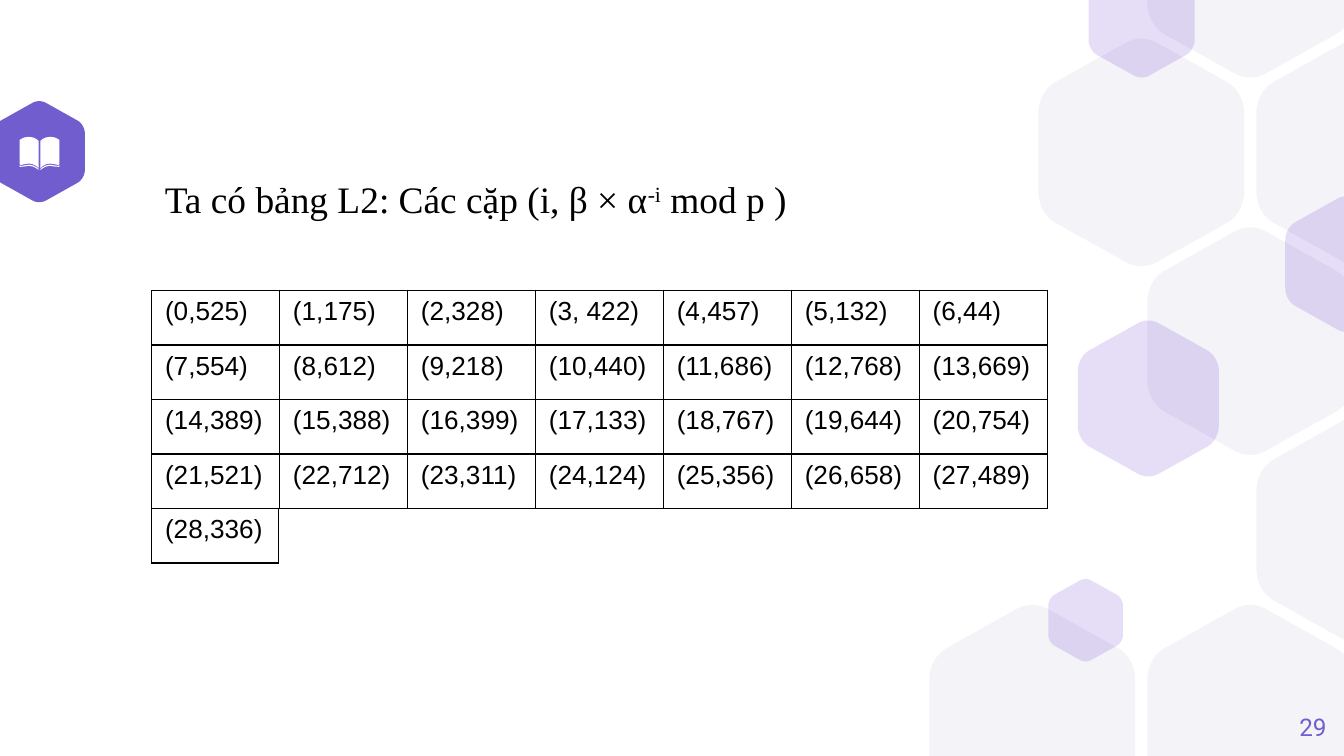
from typing import NamedTuple

from lxml import etree
from pptx import Presentation
from pptx import util as u
from pptx.dml.color import RGBColor
from pptx.enum import text as t
from pptx.oxml import ns

Pt = u.Pt
WIDTH, HEIGHT = 720, 405
PURPLE, ACCENT, PALE, WHITE, BLACK = "725DCF", "5322C9", "F4F3F8", "FFFFFF", "000000"

Point = tuple[float, float]


class Hexagon(NamedTuple):
    cx: float
    cy: float
    width: float
    color: str
    alpha: int = 100


class Grid(NamedTuple):
    left: float
    top: float
    col_width: float
    rows: list[list[str]]


# Honeycomb cells by column and row, then the accents
HEX_WIDTH, COL_STEP, ROW_STEP = 110.3, 58.4, 101.1
HONEYCOMB = [(0, 3), (2, 3), (3, 0), (2, -1), (2, 1), (1, 0), (3, 2)]
HEXAGONS = [Hexagon(21, 81.3, 49, PURPLE)]
HEXAGONS += [Hexagon(553 + COL_STEP * col, 81.7 + ROW_STEP * row, HEX_WIDTH, PALE)
             for col, row in HONEYCOMB]
HEXAGONS += [Hexagon(cx, cy, width, ACCENT, 15) for cx, cy, width in [
    (721.4, 141.5, 65.8), (581.6, 332.3, 40), (611.6, 10.1, 56.9), (615.2, 213.5, 75.6)]]

# Right half of the book: distance from the spine, height on the slide
SPINE = 21.2
BOOK_PARTS = [
    [(0.5, 75.5), (1.5, 74.6), (3.2, 73.7), (5.5, 73.3), (8, 73.6), (10, 74.5), (10.6, 75),
     (10.6, 88), (10, 88.4), (8, 88), (5.5, 87.6), (3.5, 88), (1.8, 88.9), (0.5, 90)],
    [(10.6, 88.4), (10.2, 88.9), (8, 88.6), (5.5, 88.2), (3.2, 88.7), (1.6, 89.6), (0.5, 90.5),
     (0.5, 91), (1.8, 90.1), (3.3, 89.3), (5.5, 88.8), (8, 89.2), (10.6, 89.4)],
]

PAIRS = [
    ["(0,525)", "(1,175)", "(2,328)", "(3, 422)", "(4,457)", "(5,132)", "(6,44)"],
    ["(7,554)", "(8,612)", "(9,218)", "(10,440)", "(11,686)", "(12,768)", "(13,669)"],
    ["(14,389)", "(15,388)", "(16,399)", "(17,133)", "(18,767)", "(19,644)", "(20,754)"],
    ["(21,521)", "(22,712)", "(23,311)", "(24,124)", "(25,356)", "(26,658)", "(27,489)"],
]
ROW_HEIGHT = 29.2
GRIDS = [Grid(81.2, 155.6, 68.57, PAIRS),
         Grid(81.2, 155.6 + ROW_HEIGHT * len(PAIRS), 68, [["(28,336)"]])]


def rgb(color: str) -> RGBColor:
    return RGBColor.from_string(color)


def add_run(p, text: str, *, size: float, font: str, color: str, baseline: int = 0) -> None:
    r = p.add_run()
    r.text = text
    r.font.size = Pt(size)
    r.font.name = font
    r.font.color.rgb = rgb(color)
    if baseline:
        r.font._element.set("baseline", str(baseline * 1000))


def add_polygon(s, points: list[Point], color: str, alpha: int = 100) -> None:
    corners = [(Pt(x), Pt(y)) for x, y in points]
    builder = s.shapes.build_freeform(*corners[0])
    builder.add_line_segments(corners[1:], close=True)
    sp = builder.convert_to_shape()
    sp.shadow.inherit = False
    sp.fill.solid()
    sp.fill.fore_color.rgb = rgb(color)
    sp.line.fill.background()
    if alpha < 100:
        clr = sp._element.spPr.find(".//" + ns.qn("a:srgbClr"))
        etree.SubElement(clr, ns.qn("a:alpha")).set("val", str(alpha * 1000))


def bezier(a: Point, b: Point, c: Point, d: Point, steps: int = 8) -> list[Point]:
    points = []
    for i in range(steps + 1):
        k = i / steps
        weights = ((1 - k) ** 3, 3 * k * (1 - k) ** 2, 3 * k * k * (1 - k), k ** 3)
        points.append((sum(w * q[0] for w, q in zip(weights, (a, b, c, d))),
                       sum(w * q[1] for w, q in zip(weights, (a, b, c, d)))))
    return points


def add_hexagon(s, h: Hexagon) -> None:
    """Draw a rounded hexagon, cut off at the slide's top and bottom."""
    # One quarter of the outline, in units of the width
    side = bezier((0.5, 0.19), (0.5, 0.25), (0.47, 0.31), (0.42, 0.34))
    tip = bezier((0.08, 0.53), (0.03, 0.56), (-0.03, 0.56), (-0.08, 0.53))
    mirrored = [(-x, y) for x, y in reversed(side)]
    lower = side + tip + mirrored
    outline = lower + [(-x, -y) for x, y in lower]
    add_polygon(s, [(h.cx + x * h.width, min(max(h.cy + y * h.width, 0), HEIGHT))
                    for x, y in outline], h.color, h.alpha)


def add_border(cell) -> None:
    tc_pr = cell._tc.get_or_add_tcPr()
    for edge in "LRTB":
        ln = etree.SubElement(tc_pr, ns.qn(f"a:ln{edge}"), w=str(Pt(0.75)))
        fill = etree.SubElement(ln, ns.qn("a:solidFill"))
        etree.SubElement(fill, ns.qn("a:srgbClr"), val=BLACK)


def add_grid(s, g: Grid) -> None:
    n_rows, n_cols = len(g.rows), len(g.rows[0])
    table = s.shapes.add_table(n_rows, n_cols, Pt(g.left), Pt(g.top),
                               Pt(g.col_width * n_cols), Pt(ROW_HEIGHT * n_rows)).table
    table.first_row = table.horz_banding = False
    for col in table.columns:
        col.width = Pt(g.col_width)
    for row, texts in zip(table.rows, g.rows):
        row.height = Pt(ROW_HEIGHT)
        for cell, text in zip(row.cells, texts):
            add_border(cell)
            cell.fill.background()
            add_run(cell.text_frame.paragraphs[0], text, size=14, font="Arial", color=BLACK)


def main() -> None:
    prs = Presentation()
    prs.slide_width, prs.slide_height = Pt(WIDTH), Pt(HEIGHT)
    s = prs.slides.add_slide(prs.slide_layouts[6])

    # Background hexagons
    for h in HEXAGONS:
        add_hexagon(s, h)

    # Open book icon
    for part in BOOK_PARTS:
        for sign in (-1, 1):
            add_polygon(s, [(SPINE + sign * x, y) for x, y in part], WHITE)

    # Title
    tf = s.shapes.add_textbox(Pt(81.2), Pt(90.9), Pt(357.8), Pt(31.5)).text_frame
    tf.word_wrap = False
    tf.auto_size = t.MSO_AUTO_SIZE.SHAPE_TO_FIT_TEXT
    for text, baseline in [("Ta có bảng L2: Các cặp (i, β × α", 0), ("-i", 30), (" mod p )", 0)]:
        add_run(tf.paragraphs[0], text, size=20, font="Times New Roman", color=BLACK,
                baseline=baseline)

    # Tables of pairs
    for g in GRIDS:
        add_grid(s, g)

    # Slide number
    tf = s.shapes.add_textbox(Pt(667.5), Pt(374), Pt(43.2), Pt(31)).text_frame
    tf.word_wrap = True
    tf.margin_left = tf.margin_right = tf.margin_top = tf.margin_bottom = 0
    tf.vertical_anchor = t.MSO_ANCHOR.MIDDLE
    p = tf.paragraphs[0]
    p.alignment = t.PP_ALIGN.RIGHT
    add_run(p, "29", size=13, font="Roboto", color=PURPLE)

    prs.save("out.pptx")


if __name__ == "__main__":
    main()
